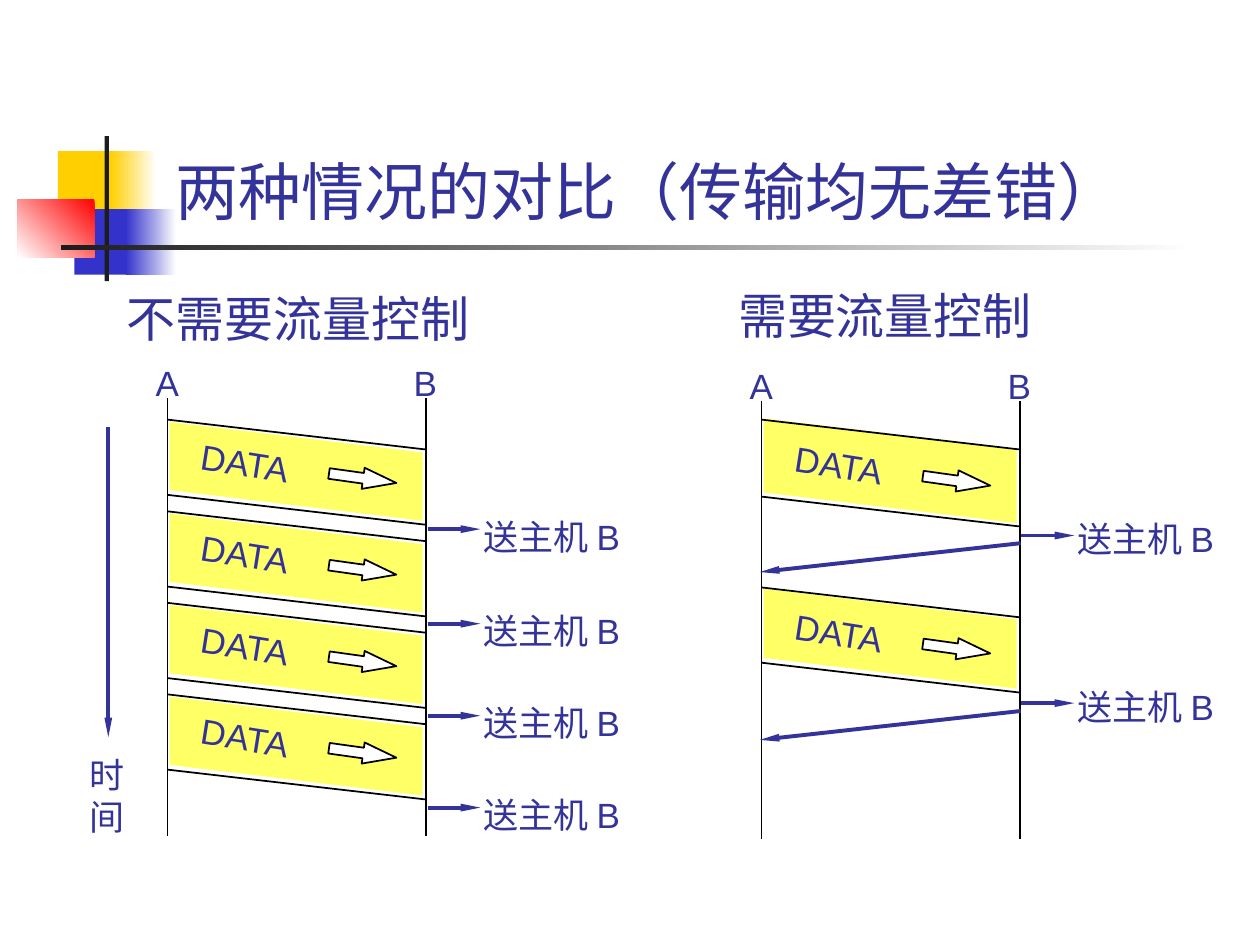
"""Build the slide that compares sending with and without flow control."""
import pptx
import pptx.dml.color
import pptx.enum.shapes
import pptx.enum.text
import pptx.oxml
import pptx.oxml.ns
import pptx.util

Pt = pptx.util.Pt
RGB = pptx.dml.color.RGBColor
Kind = pptx.enum.shapes.MSO_SHAPE
Fit = pptx.enum.text.MSO_AUTO_SIZE
NAVY = RGB(0x33, 0x33, 0x99)
BLUE = RGB(0x33, 0x33, 0xCC)
GOLD = RGB(0xFF, 0xCF, 0x01)
RED = RGB(0xFF, 0x00, 0x00)
DARK = RGB(0x1C, 0x1C, 0x1C)
LEMON = RGB(0xFF, 0xFF, 0x66)
BLACK = RGB(0x00, 0x00, 0x00)
WHITE = RGB(0xFF, 0xFF, 0xFF)

deck = pptx.Presentation()
deck.slide_width, deck.slide_height = Pt(720), Pt(540)
slide = deck.slides.add_slide(deck.slide_layouts[5])
shapes = slide.shapes


def add_text(words, left, top, width, height=31, size=20, font="Arial", turn=0):
    box = shapes.add_textbox(Pt(left), Pt(top), Pt(width), Pt(height))
    box.rotation = turn
    frame = box.text_frame
    frame.word_wrap = False
    frame.auto_size = Fit.SHAPE_TO_FIT_TEXT
    for i, word in enumerate(words):
        para = frame.add_paragraph() if i else frame.paragraphs[0]
        run = para.add_run()
        run.text = word
        run.font.size, run.font.name = Pt(size), font
        run.font.color.rgb = NAVY


def add_line(x1, y1, x2, y2, arrow=False):
    line = shapes.add_connector(pptx.enum.shapes.MSO_CONNECTOR.STRAIGHT,
                                Pt(x1), Pt(y1), Pt(x2), Pt(y2))
    line.line.width = Pt(2.24 if arrow else 1)
    line.line.color.rgb = NAVY if arrow else BLACK
    if arrow:
        tip = pptx.oxml.parse_xml(
            '<a:tailEnd %s type="triangle" w="sm" len="lg"/>' % pptx.oxml.ns.nsdecls("a"))
        line.line._get_or_add_ln().append(tip)
    props = line._element.spPr
    props.append(pptx.oxml.parse_xml('<a:effectLst %s/>' % pptx.oxml.ns.nsdecls("a")))


decor = [
    (33.1, 86.4, 34.6, 37.4, GOLD, None, None),
    (63.4, 86.4, 25.9, 37.4, WHITE, GOLD, 180),
    (42.5, 119.5, 33.1, 37.4, BLUE, None, None),
    (72, 119.5, 28.8, 37.4, WHITE, BLUE, 180),
    (10.1, 113.8, 43.9, 33.1, RED, WHITE, 225),
    (59.8, 77.8, 2.4, 82.8, DARK, None, None),
    (34.6, 140.2, 648, 2.4, WHITE, DARK, 180),
]
for left, top, width, height, tone, end, angle in decor:
    block = shapes.add_shape(Kind.RECTANGLE, Pt(left), Pt(top), Pt(width), Pt(height))
    block.shadow.inherit = False
    block.line.fill.background()
    if end is None:
        block.fill.solid()
        block.fill.fore_color.rgb = tone
    else:
        block.fill.gradient()
        block.fill.gradient_angle = angle
        for stop, shade, place in zip(block.fill.gradient_stops, (tone, end), (0, 1)):
            stop.color.rgb = shade
            stop.position = place

title = shapes.title
title.left, title.top, title.width, title.height = Pt(86.4), Pt(73.4), Pt(568), Pt(60.5)
frame = title.text_frame
frame.auto_size = Fit.NONE
frame.vertical_anchor = pptx.enum.text.MSO_ANCHOR.BOTTOM
para = frame.paragraphs[0]
para.alignment = pptx.enum.text.PP_ALIGN.CENTER
run = para.add_run()
run.text = "两种情况的对比（传输均无差错）"
run.font.size, run.font.name = Pt(36), "Arial"
run.font.color.rgb = NAVY

for words, left, top, width in [("不需要流量控制", 65.5, 161.3, 210),
                                ("需要流量控制", 414.7, 159.8, 182)]:
    add_text([words], left, top, width, 41, 28, "Cabin")

LEFT, RIGHT, SPAN = 95.8, 435.2, 147
for base, top in [(LEFT, 227.5), (RIGHT, 229)]:
    for name, pole in [("A", base), ("B", base + SPAN + 0.5)]:
        add_line(pole, top, pole, top + 250.5)
        add_text([name], pole - 14, top - 24.5, 27.4)

frames = [
    (LEFT, 239.8, 43, 1.3, 39, 302.4),
    (LEFT, 292.2, 43, 1.3, 39, 356.4),
    (LEFT, 344.5, 43, 1.3, 39, 409),
    (LEFT, 396.8, 43, 1.3, 39, 461.5),
    (RIGHT, 239.8, 44, -0.7, 42.3, 306),
    (RIGHT, 335.7, 43, 0.7, 39.6, 401.8),
]
for x, y, thick, gap, fill, host in frames:
    reply = x == RIGHT
    shift = 1.5 if reply else 0
    far = x + 145.7
    band = shapes.build_freeform(Pt(x + 1.2), Pt(y + gap))
    band.add_line_segments([(Pt(far), Pt(y + gap + 17.5)),
                            (Pt(far), Pt(y + gap + fill + 17.5)),
                            (Pt(x + 1.2), Pt(y + gap + fill))])
    band = band.convert_to_shape()
    band.shadow.inherit = False
    band.fill.solid()
    band.fill.fore_color.rgb = LEMON
    band.line.fill.background()
    for edge in (y, y + thick):
        add_line(x, edge, x + SPAN, edge + 17)
    arrow = shapes.add_shape(Kind.RIGHT_ARROW, Pt(x + 92), Pt(y + 27.4 + shift),
                             Pt(38.9), Pt(12.2))
    arrow.adjustments[1] = 1.57
    arrow.rotation = 8
    arrow.shadow.inherit = False
    arrow.fill.solid()
    arrow.fill.fore_color.rgb = WHITE
    arrow.line.color.rgb = BLACK
    arrow.line.width = Pt(1)
    add_text(["DATA"], x + 11.9, y + 9 + shift, 67.7, turn=9)
    add_line(x + 148.5, host, x + 178.7, host, True)
    add_text(["送主机 B"], x + 173.5, host - (13.7 if reply else 11.4), 97.2)
    if reply:
        add_line(x + 148, y + 70.6, x - 1, y + 87.1, True)

add_line(61.9, 244.1, 61.9, 421.2, True)
add_text(["时", "间"], 43.9, 427, 34.6, 54.7)

deck.save("out.pptx")
